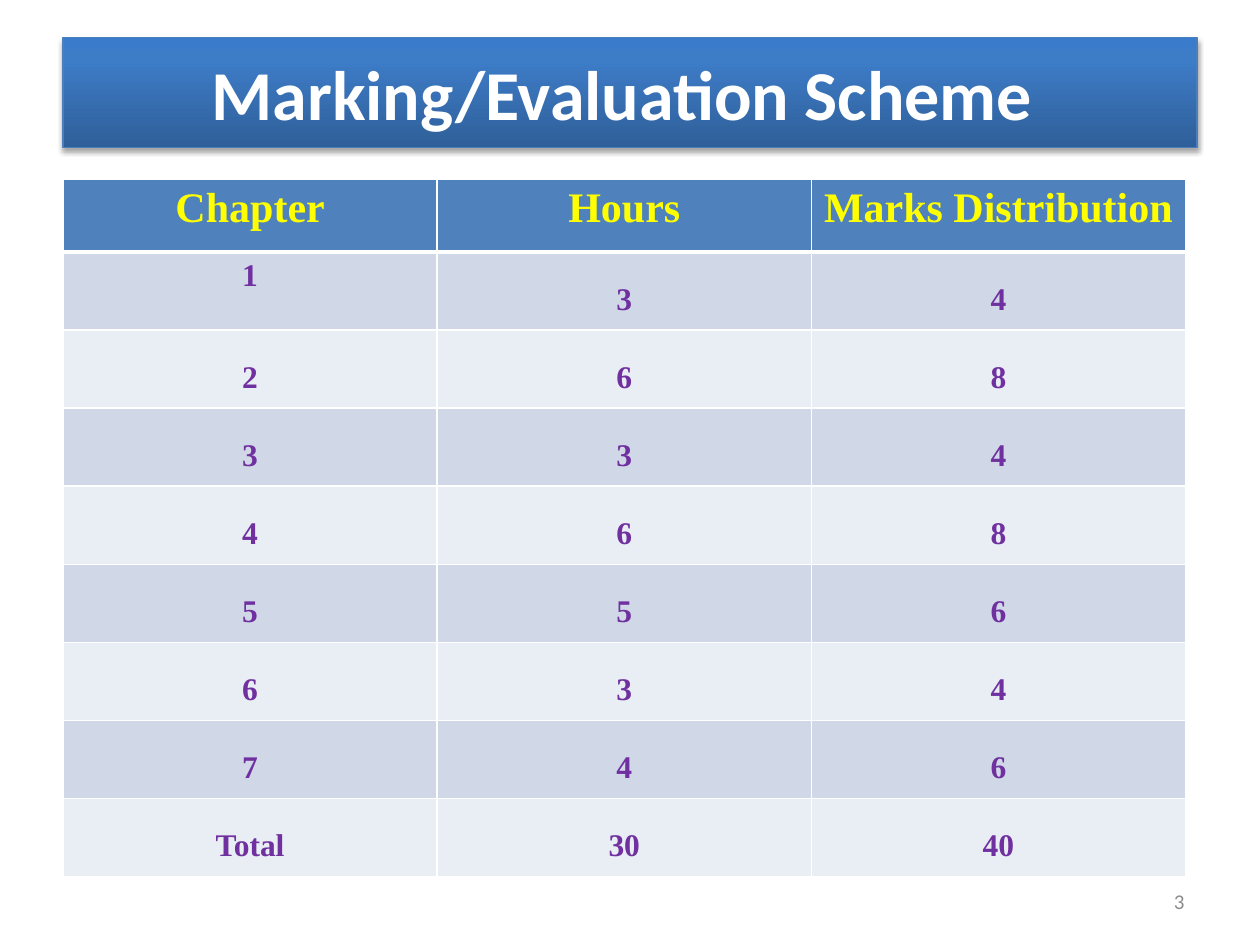
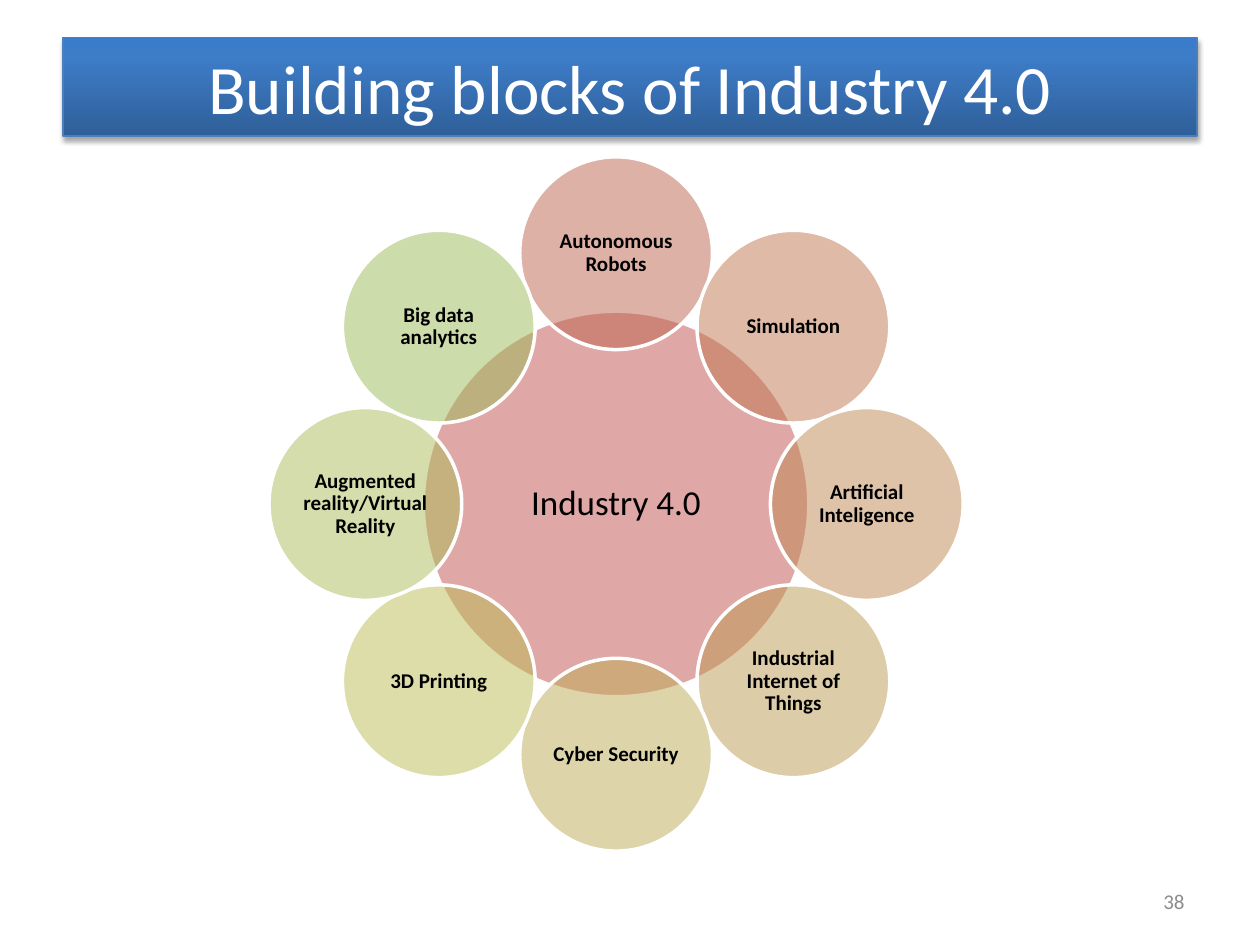
import math
from dataclasses import dataclass
from itertools import product

from lxml import etree
from pptx import Presentation
from pptx import util as u
from pptx.dml.color import RGBColor
from pptx.enum import shapes, text
from pptx.oxml import ns, parse_xml

CENTER = text.PP_ALIGN.CENTER
MIDDLE = text.MSO_ANCHOR.MIDDLE


@dataclass(frozen=True)
class Theme:
    # Fonts
    sans: str = "Calibri"
    serif: str = "Times New Roman"
    # Colours
    white: str = "FFFFFF"
    black: str = "000000"
    band_stops: tuple = ((0, "2F5F99"), (80, "3D7CC7"), (100, "3A7CCB"))
    band_line: str = "4B7EBC"
    header_fill: str = "4F81BD"
    header_text: str = "FFFF00"
    row_fills: tuple = ("D0D8E8", "E9EDF4")
    cell_text: str = "7030A0"
    page_number: str = "8C8C8C"
    hub: str = "C0504D"
    # Type sizes
    title_size: float = 40
    header_size: float = 24
    cell_size: float = 18
    hub_size: float = 20
    block_size: float = 12
    page_size: float = 12


def write_text(frame, content, *, size, color, font, bold=False,
               align=CENTER, spacing=None):
    """Fill a text frame with one formatted paragraph."""
    frame.word_wrap = True
    paragraph = frame.paragraphs[0]
    paragraph.alignment = align
    if spacing:
        paragraph.line_spacing = spacing
    run = paragraph.add_run()
    run.text = content
    run.font.size = u.Pt(size)
    run.font.name = font
    run.font.bold = bold
    run.font.color.rgb = RGBColor.from_string(color)


def center_in(box, inset):
    """Centre the text of a frame or cell vertically, with equal margins."""
    box.vertical_anchor = MIDDLE
    box.margin_left = box.margin_right = u.Inches(inset)
    box.margin_top = box.margin_bottom = u.Inches(inset)


def drawing_xml(markup):
    """Turn markup with one root element into a drawing element."""
    return parse_xml(markup.replace(">", f" {ns.nsdecls('a')}>", 1))


class SlideBuilder:
    def __init__(self, presentation, theme):
        self.presentation = presentation
        self.theme = theme
        self.slide = None

    def new_slide(self, title, page, band_height, **title_format):
        """Start a slide with its title band and page number."""
        layout = self.presentation.slide_layouts.get_by_name("Title Only")
        self.slide = self.presentation.slides.add_slide(layout)
        self.title_band(title, band_height, **title_format)
        self.page_number(page)

    def title_band(self, title, height, size=None, bold=False):
        theme = self.theme
        band = self.slide.shapes.title
        band.left, band.top = u.Inches(0.5), u.Inches(0.3)
        band.width, band.height = u.Inches(9), u.Inches(height)
        band.text_frame.auto_size = text.MSO_AUTO_SIZE.NONE
        band.text_frame.vertical_anchor = MIDDLE
        write_text(band.text_frame, title, size=size or theme.title_size,
                   color=theme.white, font=theme.sans, bold=bold)
        band.line.color.rgb = RGBColor.from_string(theme.band_line)
        band.line.width = u.Pt(0.75)
        # Gradient in place of the solid fill
        band.fill.solid()
        properties = band.element.spPr
        stops = "".join(
            f'<a:gs pos="{position * 1000}"><a:srgbClr val="{color}"/></a:gs>'
            for position, color in theme.band_stops)
        properties.replace(
            properties.find(ns.qn("a:solidFill")),
            drawing_xml(f'<a:gradFill><a:gsLst>{stops}</a:gsLst>'
                        '<a:lin ang="16200000" scaled="0"/></a:gradFill>'))
        # Soft shadow under the band
        properties.append(drawing_xml(
            f'<a:effectLst><a:outerShdw blurRad="{u.Pt(3.1)}" '
            f'dist="{u.Pt(1.8)}" dir="5400000" rotWithShape="0">'
            f'<a:srgbClr val="{theme.black}"><a:alpha val="35000"/>'
            '</a:srgbClr></a:outerShdw></a:effectLst>'))

    def page_number(self, number):
        theme = self.theme
        box = self.slide.shapes.add_textbox(
            u.Inches(7.17), u.Inches(6.95), u.Inches(2.33), u.Inches(0.4))
        box.text_frame.vertical_anchor = MIDDLE
        write_text(box.text_frame, str(number), size=theme.page_size,
                   color=theme.page_number, font=theme.sans,
                   align=text.PP_ALIGN.RIGHT)

    def cell_borders(self, cell, **widths):
        """Draw white borders; widths are points by side: L, R, T, B."""
        properties = cell._tc.get_or_add_tcPr()
        for index, side in enumerate("LRTB"):
            properties.insert(index, drawing_xml(
                f'<a:ln{side} w="{u.Pt(widths.get(side, 1))}"><a:solidFill>'
                f'<a:srgbClr val="{self.theme.white}"/>'
                f'</a:solidFill></a:ln{side}>'))

    def marks_table(self, header, rows):
        theme = self.theme
        header_height, row_height, column_width = 0.58, 0.62, 2.97
        cell_inset = 0.08  # small enough for the text to fit the row height
        frame = self.slide.shapes.add_table(
            len(rows) + 1, len(header), u.Inches(0.5), u.Inches(1.42),
            u.Inches(column_width * len(header)),
            u.Inches(header_height + row_height * len(rows)))
        table = frame.table
        table.first_row = table.horz_banding = False
        for column in table.columns:
            column.width = u.Inches(column_width)
        for index, row in enumerate(table.rows):
            row.height = u.Inches(row_height if index else header_height)

        lines = [header, *rows]
        for row, column in product(range(len(lines)), range(len(header))):
            cell = table.cell(row, column)
            fill = theme.row_fills[(row - 1) % 2] if row else theme.header_fill
            cell.fill.solid()
            cell.fill.fore_color.rgb = RGBColor.from_string(fill)
            self.cell_borders(cell, **({"B": 3} if row == 0 else
                                       {"T": 3} if row == 1 else {}))
            # The header and the first chapter number sit at the top
            at_top = row == 0 or (row, column) == (1, 0)
            if not at_top:
                center_in(cell, cell_inset)
            write_text(cell.text_frame, str(lines[row][column]),
                       size=theme.cell_size if row else theme.header_size,
                       color=theme.cell_text if row else theme.header_text,
                       font=theme.serif, bold=True,
                       spacing=None if at_top else 1.5)

    def circle(self, label, center_x, center_y, radius, color, inset,
               **text_format):
        """Add a half transparent circle with a centred label."""
        circle = self.slide.shapes.add_shape(
            shapes.MSO_SHAPE.OVAL,
            u.Inches(center_x - radius), u.Inches(center_y - radius),
            u.Inches(2 * radius), u.Inches(2 * radius))
        circle.shadow.inherit = False
        circle.fill.solid()
        circle.fill.fore_color.rgb = RGBColor.from_string(color)
        fill_color = circle.element.spPr.find(
            f"{ns.qn('a:solidFill')}/{ns.qn('a:srgbClr')}")
        etree.SubElement(fill_color, ns.qn("a:alpha"), val="50000")
        circle.line.color.rgb = RGBColor.from_string(self.theme.white)
        circle.line.width = u.Pt(2)
        center_in(circle.text_frame, inset)
        write_text(circle.text_frame, label, color=self.theme.black,
                   font=self.theme.sans, spacing=0.9, **text_format)

    def radial_diagram(self, hub, blocks):
        """Place the blocks clockwise from the top around the hub."""
        theme = self.theme
        center_x, center_y = 4.89, 4
        hub_radius, ring_radius = 1.53, 1.99
        block_radius = hub_radius / 2
        self.circle(hub, center_x, center_y, hub_radius, theme.hub, 0.03,
                    size=theme.hub_size)
        for index, (label, color) in enumerate(blocks):
            angle = math.tau * index / len(blocks)
            self.circle(label, center_x + ring_radius * math.sin(angle),
                        center_y - ring_radius * math.cos(angle),
                        block_radius, color, 0.02,
                        size=theme.block_size, bold=True)


def main():
    presentation = Presentation()
    presentation.slide_width = u.Inches(10)
    presentation.slide_height = u.Inches(7.5)
    builder = SlideBuilder(presentation, Theme())

    # Marking scheme
    builder.new_slide("Marking/Evaluation Scheme ", 3, 0.87, bold=True)
    hours = (3, 6, 3, 6, 5, 3, 4)
    marks = (4, 8, 4, 8, 6, 4, 6)
    chapters = list(zip(range(1, len(hours) + 1), hours, marks))
    builder.marks_table(("Chapter", "Hours", "Marks Distribution"),
                        [*chapters, ("Total", sum(hours), sum(marks))])

    # Building blocks
    builder.new_slide("Building blocks of Industry 4.0", 38, 0.78, size=39.6)
    builder.radial_diagram("Industry 4.0", (
        ("Autonomous Robots", "BF644F"),
        ("Simulation", "BF7750"),
        ("Artificial Inteligence", "BE8952"),
        ("Industrial Internet of Things", "BD9B53"),
        ("Cyber Security", "BDAC55"),
        ("3D Printing", "BCBC56"),
        ("Augmented reality/Virtual Reality", "ABBC58"),
        ("Big data analytics", "9BBB59"),
    ))

    presentation.save("out.pptx")


if __name__ == "__main__":
    main()
